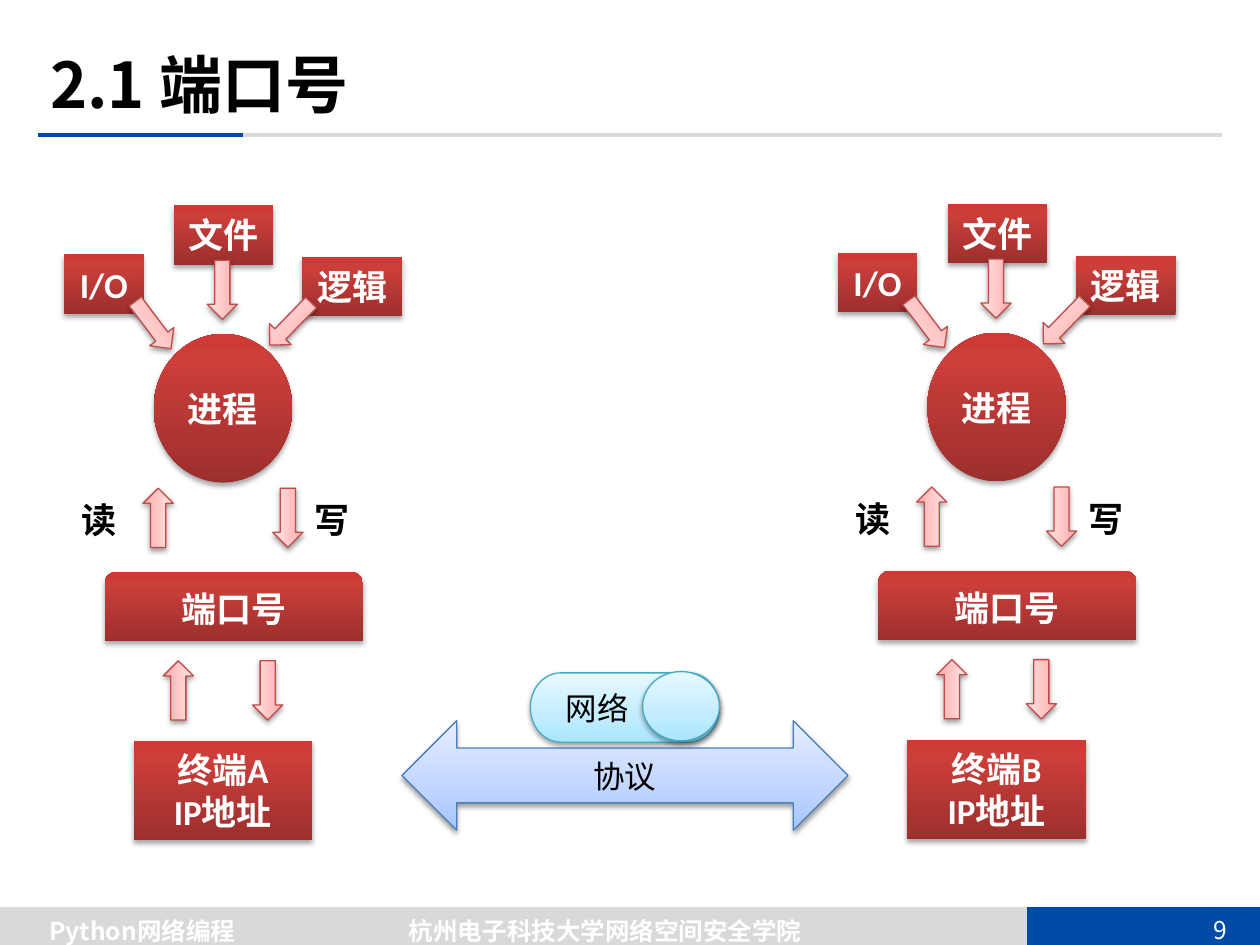
"""Build the port number slide: two stations joined by a network protocol."""
from typing import NamedTuple, Optional

from lxml.etree import SubElement
from pptx import Presentation
from pptx.dml.color import RGBColor
from pptx.enum.shapes import MSO_CONNECTOR, MSO_SHAPE
from pptx.enum.text import MSO_ANCHOR, PP_ALIGN
from pptx.oxml.ns import qn
from pptx.util import Inches, Pt

BLACK = RGBColor(0x00, 0x00, 0x00)
WHITE = RGBColor(0xFF, 0xFF, 0xFF)
GREY = RGBColor(0xD9, 0xD9, 0xD9)
NAVY = RGBColor(0x00, 0x4B, 0xA6)
RED_DARK = RGBColor(0x9C, 0x2F, 0x2D)
RED_MIDDLE = RGBColor(0xCB, 0x3E, 0x3A)
RED_LIGHT = RGBColor(0xCE, 0x3B, 0x37)
PINK_DARK = RGBColor(0xFF, 0xA6, 0xA5)
PINK_MIDDLE = RGBColor(0xFF, 0xC0, 0xBF)
PINK_LIGHT = RGBColor(0xFF, 0xE7, 0xE7)
PINK_EDGE = RGBColor(0xBF, 0x4C, 0x48)
BLUE_DARK = RGBColor(0xA4, 0xC4, 0xFF)
BLUE_MIDDLE = RGBColor(0xBF, 0xD4, 0xFF)
BLUE_LIGHT = RGBColor(0xE6, 0xEE, 0xFF)
BLUE_EDGE = RGBColor(0x4B, 0x7E, 0xBC)
CYAN_DARK = RGBColor(0xA7, 0xE6, 0xFF)
CYAN_MIDDLE = RGBColor(0xC1, 0xED, 0xFF)
CYAN_LIGHT = RGBColor(0xE7, 0xF8, 0xFF)
CYAN_EDGE = RGBColor(0x46, 0xAA, 0xC5)

LATIN_FONT = "Calibri"
CHINESE_FONT = "Noto Sans CJK SC"
ARROW_WIDTH, ARROW_HEIGHT = 0.47, 0.24


class Style(NamedTuple):
    stops: tuple
    edge: Optional[RGBColor] = None
    shadow_alpha: int = 38
    shadow_distance: float = 1.6


class Node(NamedTuple):
    kind: MSO_SHAPE
    left: float
    top: float
    width: float
    height: float
    text: str


class Arrow(NamedTuple):
    left: float
    top: float
    rotation: float


class Label(NamedTuple):
    left: float
    text: str


class Rule(NamedTuple):
    start: float
    end: float
    y: float
    color: RGBColor
    weight: float


class Footer(NamedTuple):
    left: float
    top: float
    width: float
    text: str
    bold: bool


RED = Style(((0, RED_DARK), (80, RED_MIDDLE), (100, RED_LIGHT)), None, 35, 1.8)
PINK = Style(((0, PINK_DARK), (35, PINK_MIDDLE), (100, PINK_LIGHT)), PINK_EDGE)
BLUE = Style(((0, BLUE_DARK), (35, BLUE_MIDDLE), (100, BLUE_LIGHT)), BLUE_EDGE)
CYAN = Style(((0, CYAN_DARK), (35, CYAN_MIDDLE), (100, CYAN_LIGHT)), CYAN_EDGE)

RULES = (
    Rule(9.96, 0, 7.37, GREY, 25),
    Rule(10, 8.15, 7.37, NAVY, 25),
    Rule(0.3, 9.7, 1.07, GREY, 2.25),
    Rule(0.3, 1.93, 1.07, NAVY, 2.25),
)
FOOTERS = (
    Footer(-0.04, 7.22, 2.34, "Python网络编程", True),
    Footer(9.41, 7.21, 0.55, "9", False),
    Footer(2.56, 7.22, 4.49, "杭州电子科技大学网络空间安全学院", True),
)
STATION_NODES = (
    Node(MSO_SHAPE.FLOWCHART_PROCESS, 1.38, 1.63, 0.79, 0.47, "文件"),
    Node(MSO_SHAPE.FLOWCHART_CONNECTOR, 1.22, 2.65, 1.1, 1.18, "进程"),
    Node(MSO_SHAPE.FLOWCHART_PROCESS, 2.4, 2.04, 0.79, 0.47, "逻辑"),
    Node(MSO_SHAPE.FLOWCHART_PROCESS, 0.51, 2.02, 0.63, 0.47, "I/O"),
    Node(MSO_SHAPE.ROUND_2_SAME_RECTANGLE, 0.83, 4.54, 2.05, 0.55, "端口号"),
    Node(MSO_SHAPE.RECTANGLE, 1.06, 5.88, 1.42, 0.79, "终端{name}\nIP地址"),
)
STATION_ARROWS = (
    Arrow(2.07, 2.45, 314.1),
    Arrow(0.98, 2.46, 233),
    Arrow(1.53, 2.18, 270),
    Arrow(2.05, 3.99, 270),
    Arrow(1.89, 5.36, 270),
    Arrow(1.02, 3.99, 90),
    Arrow(1.18, 5.36, 90),
)
STATION_LABELS = (Label(2.4, "写"), Label(0.55, "读"))


def write_text(box, text: str, *, size: float, color: RGBColor, bold: bool = False,
               font: str = LATIN_FONT, align=PP_ALIGN.CENTER,
               anchor=MSO_ANCHOR.MIDDLE) -> None:
    frame = box.text_frame
    frame.word_wrap = True
    frame.vertical_anchor = anchor
    for index, line in enumerate(text.split("\n")):
        para = frame.add_paragraph() if index else frame.paragraphs[0]
        para.alignment = align
        span = para.add_run()
        span.text = line
        span.font.name = font
        span.font.size = Pt(size)
        span.font.bold = bold
        span.font.color.rgb = color
        SubElement(span.font._element, qn("a:ea"), typeface=CHINESE_FONT)


def add_label(shapes, left: float, top: float, width: float, height: float,
              text: str, **text_format) -> None:
    box = shapes.add_textbox(Inches(left), Inches(top), Inches(width), Inches(height))
    write_text(box, text, **text_format)


def add_rule(shapes, rule: Rule) -> None:
    line = shapes.add_connector(MSO_CONNECTOR.STRAIGHT, Inches(rule.start), Inches(rule.y),
                                Inches(rule.end), Inches(rule.y))
    line.line.color.rgb = rule.color
    line.line.width = Pt(rule.weight)
    SubElement(line.element.spPr, qn("a:effectLst"))


def add_styled(shapes, kind: MSO_SHAPE, left: float, top: float, width: float,
               height: float, style: Style):
    shape = shapes.add_shape(kind, Inches(left), Inches(top), Inches(width), Inches(height))
    shape.fill.gradient()
    shape.fill.gradient_angle = 90
    stop_list = shape.element.spPr.find(".//" + qn("a:gsLst"))
    for stop in list(stop_list):
        stop_list.remove(stop)
    for position, color in style.stops:
        stop = SubElement(stop_list, qn("a:gs"), pos=str(position * 1000))
        SubElement(stop, qn("a:srgbClr"), val=str(color))
    if style.edge is None:
        shape.line.fill.background()
    else:
        shape.line.color.rgb = style.edge
        shape.line.width = Pt(0.75)
    shape.shadow.inherit = False
    effects = shape.element.spPr.find(qn("a:effectLst"))
    shadow = SubElement(effects, qn("a:outerShdw"), blurRad=str(Pt(3.1)),
                        dist=str(Pt(style.shadow_distance)), dir="5400000", rotWithShape="0")
    shade = SubElement(shadow, qn("a:srgbClr"), val=str(BLACK))
    SubElement(shade, qn("a:alpha"), val=str(style.shadow_alpha * 1000))
    return shape


def add_station(page, name: str, dx: float, dy: float) -> None:
    shapes = page.shapes.add_group_shape().shapes
    for node in STATION_NODES:
        box = add_styled(shapes, node.kind, node.left + dx, node.top + dy,
                         node.width, node.height, RED)
        write_text(box, node.text.format(name=name), size=20, color=WHITE, bold=True)
    for arrow in STATION_ARROWS:
        shape = add_styled(shapes, MSO_SHAPE.LEFT_ARROW, arrow.left + dx, arrow.top + dy,
                           ARROW_WIDTH, ARROW_HEIGHT, PINK)
        shape.rotation = arrow.rotation
    for label in STATION_LABELS:
        add_label(shapes, label.left + dx, 3.91 + dy, 0.43, 0.44, label.text, size=20,
                  color=BLACK, bold=True, align=PP_ALIGN.LEFT, anchor=MSO_ANCHOR.TOP)


def add_network(page) -> None:
    protocol = add_styled(page.shapes, MSO_SHAPE.LEFT_RIGHT_ARROW, 3.19, 5.72, 3.54, 0.87, BLUE)
    write_text(protocol, "协议", size=18, color=BLACK)
    shapes = page.shapes.add_group_shape().shapes
    network = add_styled(shapes, MSO_SHAPE.FLOWCHART_TERMINATOR, 4.21, 5.34, 1.5, 0.55, CYAN)
    write_text(network, "网络", size=18, color=BLACK, align=PP_ALIGN.LEFT)
    network.text_frame.margin_left = Inches(0.21)
    add_styled(shapes, MSO_SHAPE.OVAL, 5.1, 5.33, 0.61, 0.55, CYAN)


def main() -> None:
    deck = Presentation()
    deck.slide_width, deck.slide_height = Inches(10), Inches(7.5)
    page = deck.slides.add_slide(deck.slide_layouts[6])
    for rule in RULES:
        add_rule(page.shapes, rule)
    for footer in FOOTERS:
        add_label(page.shapes, footer.left, footer.top, footer.width, 0.34, footer.text,
                  size=14, color=WHITE, bold=footer.bold, font=CHINESE_FONT)
    add_label(page.shapes, 0.3, 0.28, 9.2, 0.77, "2.1 端口号", size=36, color=BLACK,
              bold=True, font=CHINESE_FONT, align=PP_ALIGN.LEFT)
    add_network(page)
    add_station(page, "A", 0, 0)
    add_station(page, "B", 6.14, -0.01)
    deck.save("out.pptx")


if __name__ == "__main__":
    main()
